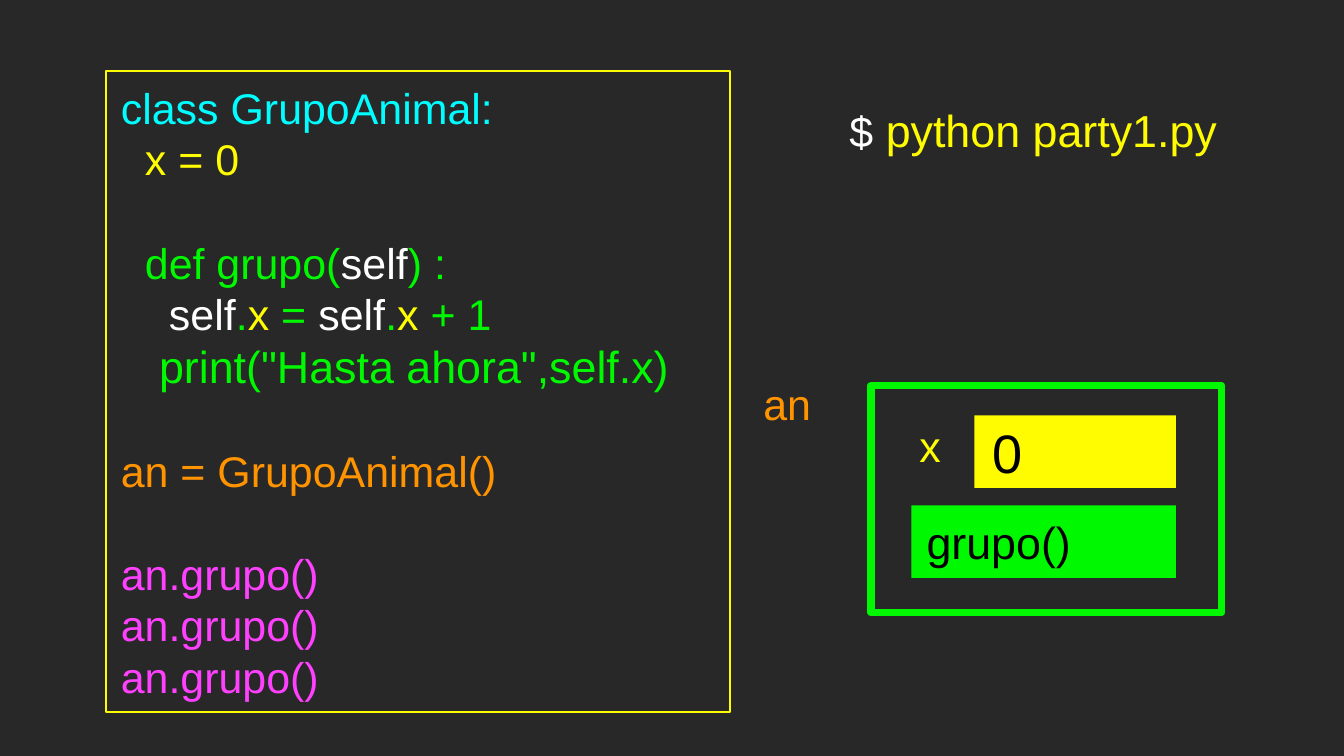
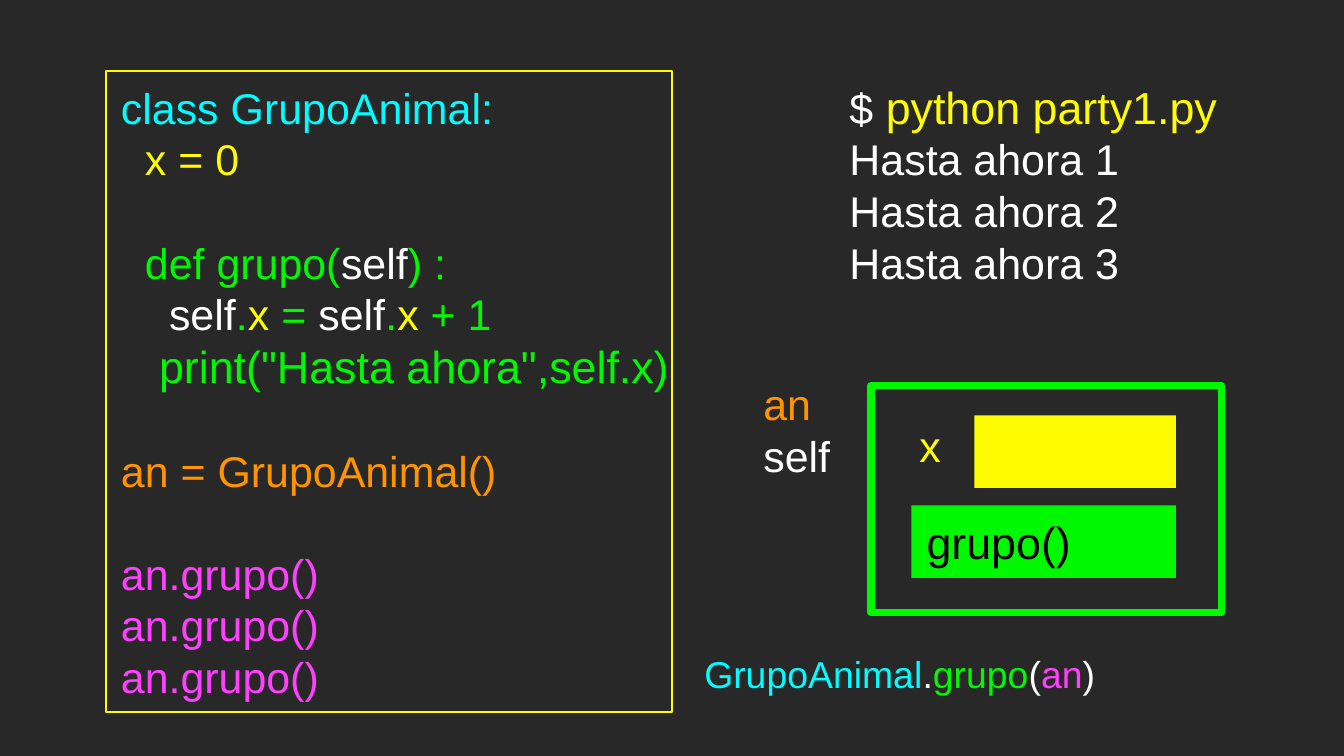
import dataclasses

import pptx
import pptx.dml.color
import pptx.enum.shapes
import pptx.enum.text
import pptx.util

Pt = pptx.util.Pt
RGB = pptx.dml.color.RGBColor.from_string
ANCHOR = pptx.enum.text.MSO_ANCHOR
ALIGN = pptx.enum.text.PP_ALIGN
RECT = pptx.enum.shapes.MSO_SHAPE.RECTANGLE


@dataclasses.dataclass(frozen=True)
class Theme:
    font: str = "Arial"
    back: str = "282828"
    white: str = "FFFFFF"
    black: str = "000000"
    cyan: str = "00FDFF"
    gold: str = "FFFB00"
    yellow: str = "FFFF00"
    green: str = "00F900"
    orange: str = "FF9300"
    pink: str = "FF40FF"
    small: int = 20
    code: int = 23
    large: int = 24
    value: int = 29
    pitch: float = 1.2   # line height per type size
    space: float = 0.28  # width of a space per type size
    inset: float = 1.44


T = Theme()


@dataclasses.dataclass
class Line:
    """Runs of (text, colour[, size]); lead is in spaces, gap in blank lines."""
    runs: list
    size: int = T.code
    lead: int = 0
    gap: int = 0


class Deck:
    def __init__(self, theme):
        self.theme = theme
        self.file = pptx.Presentation()
        self.file.slide_width, self.file.slide_height = Pt(720), Pt(405)
        self.slide = None

    def page(self):
        self.slide = self.file.slides.add_slide(self.file.slide_layouts[6])
        fill = self.slide.background.fill
        fill.solid()
        fill.fore_color.rgb = RGB(self.theme.back)

    def box(self, place, fill=None, line=None, width=1, lines=()):
        shape = self.slide.shapes.add_shape(RECT, *map(Pt, place))
        shape.shadow.inherit = False
        if fill:
            shape.fill.solid()
            shape.fill.fore_color.rgb = RGB(fill)
        else:
            shape.fill.background()
        if line:
            shape.line.color.rgb = RGB(line)
            shape.line.width = Pt(width)
        else:
            shape.line.fill.background()
        if lines:
            self.words(shape.text_frame, lines)

    def text(self, place, lines, align=ALIGN.LEFT, tail=0):
        shape = self.slide.shapes.add_textbox(*map(Pt, place))
        self.words(shape.text_frame, lines, align, tail)

    def words(self, frame, lines, align=ALIGN.LEFT, tail=0):
        """Fill a frame; tail is the room in points kept free below the text."""
        theme = self.theme
        frame.word_wrap = True
        frame.vertical_anchor = ANCHOR.MIDDLE
        frame.margin_left = frame.margin_right = frame.margin_top = Pt(theme.inset)
        frame.margin_bottom = Pt(theme.inset + tail)
        for i, line in enumerate(lines):
            para = frame.add_paragraph() if i else frame.paragraphs[0]
            para.alignment = align
            para.line_spacing = Pt(theme.pitch * line.size)
            para.space_before = Pt(theme.pitch * theme.code * line.gap)
            lead = Pt(theme.space * line.size * line.lead)
            props = para._p.get_or_add_pPr()
            props.set("marL", str(lead))
            props.set("indent", "0")
            for part, color, *size in line.runs:
                run = para.add_run()
                run.text = part
                run.font.name = theme.font
                run.font.size = Pt(size[0] if size else line.size)
                run.font.color.rgb = RGB(color)


CODE = [
    Line([("class GrupoAnimal:", T.cyan)], lead=1),
    Line([("x = 0", T.gold)], lead=3),
    Line([("def grupo(", T.green), ("self", T.white), (") :", T.green)],
         lead=3, gap=1),
    Line([("self", T.white), (".", T.green), ("x", T.yellow), (" = ", T.green),
          ("self", T.white), (".", T.green), ("x", T.yellow), (" + 1", T.green)],
         lead=5),
    Line([('print("Hasta ahora",self.x)', T.green)], size=T.large, lead=4),
    Line([("an = GrupoAnimal()", T.orange)], lead=1, gap=1),
    *[Line([("an.grupo()", T.pink)], lead=1, gap=int(i == 0)) for i in range(3)],
]
PROMPT = Line([("$", T.white, T.code), (" ", T.white), ("python party1.py", T.gold)],
              size=T.large)


def scene(deck, width, value, names, output):
    """Draw the code, the object diagram and the console of one slide."""
    deck.page()
    deck.box((56.9, 38.2, width, 343.4), line=T.gold, lines=CODE)
    deck.box((466.6, 206.6, 187.9, 121.7), line=T.green, width=4)
    deck.box((522, 222.5, 108, 38.9), fill=T.gold, lines=value)
    deck.box((488.2, 270.7, 141.8, 38.9), fill=T.green,
             lines=[Line([("grupo()", T.black)], size=T.large, lead=1)])
    deck.text((407.5, 197.3, 43.2, 65.5), [Line(names)],
              tail=T.pitch * T.code * (2 - len(names)))
    deck.text((483.1, 224.6, 30.2, 27.4), [Line([("x", T.yellow)])], ALIGN.CENTER)
    deck.text((453.6, 47.5, 243.4, 101.5), [PROMPT, *output],
              tail=0 if output else 2 * T.pitch * T.large)


def main():
    deck = Deck(T)
    scene(deck, 334.1, [Line([("0", T.black)], size=T.value, lead=1)],
          [("an", T.orange)], [])
    scene(deck, 303.1, [], [("an ", T.orange), ("self", T.white)],
          [Line([(f"Hasta ahora {n}", T.white)]) for n in range(1, 4)])
    call = [("GrupoAnimal", T.cyan), (".", T.white), ("grupo", T.green),
            ("(", T.white), ("an", T.pink), (")", T.white)]
    deck.text((334.8, 346.3, 266.4, 29.5), [Line(call, size=T.small, lead=5)],
              ALIGN.CENTER)
    deck.file.save("out.pptx")


if __name__ == "__main__":
    main()
